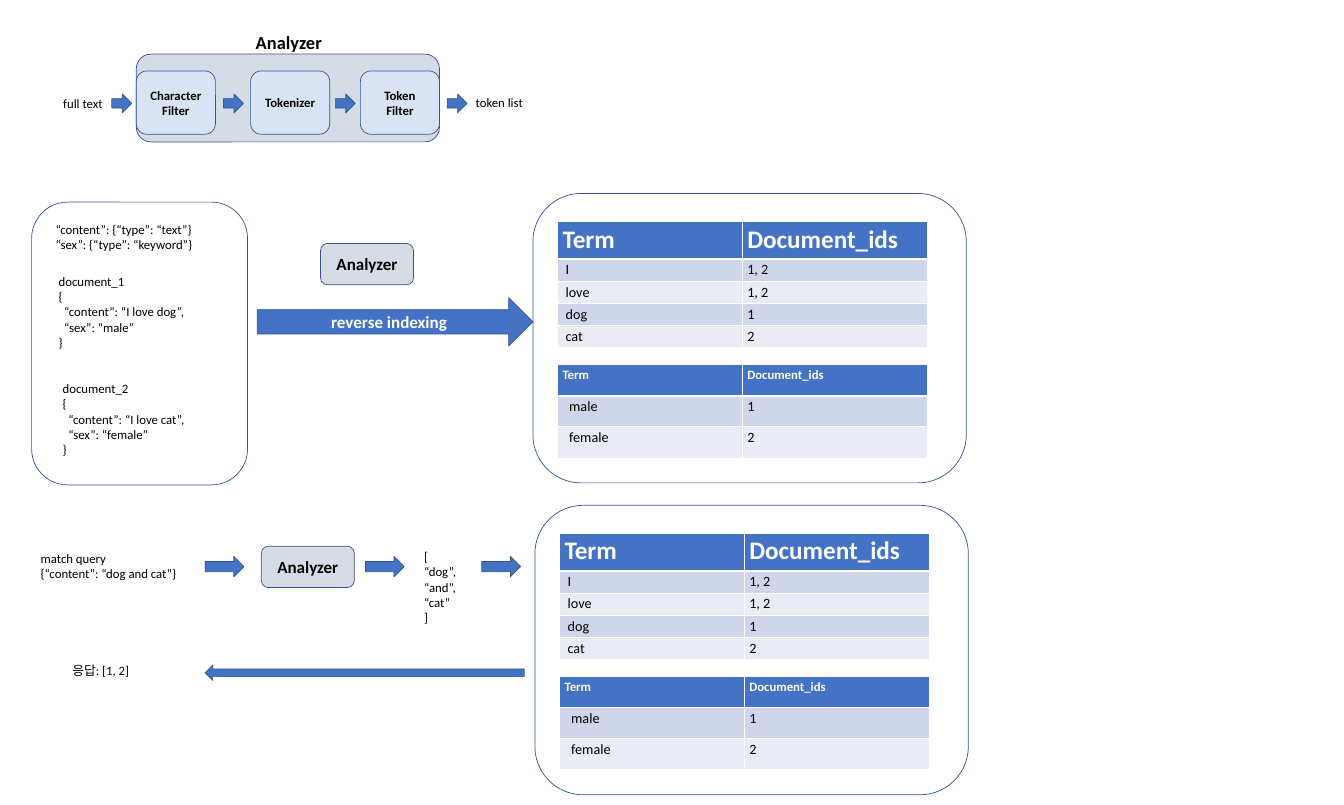
from lxml import etree
from pptx import Presentation
from pptx.dml.color import RGBColor
from pptx.enum.shapes import MSO_SHAPE
from pptx.enum.text import MSO_ANCHOR, PP_ALIGN
from pptx.oxml.ns import qn
from pptx.util import Inches, Pt

ROUND, ARROW = MSO_SHAPE.ROUNDED_RECTANGLE, MSO_SHAPE.RIGHT_ARROW
LEFT, CENTER = PP_ALIGN.LEFT, PP_ALIGN.CENTER
TOP, MIDDLE = MSO_ANCHOR.TOP, MSO_ANCHOR.MIDDLE
UNIT = Inches(0.1)
FONT = "Calibri"
HEX = {"blue": "4472C4", "edge": "325491", "gray": "D6DCE5", "pale": "DAE3F3",
       "odd": "CFD5EA", "even": "E9EBF5", "white": "FFFFFF", "black": "000000"}
TERMS = [("Term", "Document_ids"), ("I", "1, 2"), ("love", "1, 2"),
         ("dog", "1"), ("cat", "2")]
SEXES = [("Term", "Document_ids"), ("male", "1"), ("female", "2")]


def grid(*cells):
    """Turn grid cells of a tenth of an inch into lengths."""
    return [round(cell * UNIT) for cell in cells]


def color(name):
    """Look up a colour by its name."""
    return RGBColor.from_string(HEX[name])


def style(frame, size, tint="black", bold=False, align=LEFT):
    """Format every run in a text frame."""
    for para in frame.paragraphs:
        para.alignment = align
        for run in para.runs:
            run.font.name, run.font.size, run.font.bold = FONT, Pt(size), bold
            run.font.color.rgb = color(tint)


def shape(slide, kind, box, fill=None, text="", size=18, tint="black"):
    """Add an outlined shape with bold centred text."""
    item = slide.shapes.add_shape(kind, *grid(*box))
    item.shadow.inherit = False
    if fill:
        item.fill.solid()
        item.fill.fore_color.rgb = color(fill)
    else:
        item.fill.background()
    item.line.color.rgb = color("edge")
    item.line.width = Pt(1)
    if text:
        item.text_frame.text = text
        item.text_frame.word_wrap = True
        item.text_frame.vertical_anchor = MIDDLE
        style(item.text_frame, size, tint, True, CENTER)
    return item


def arrow(slide, box, text=""):
    """Add a blue block arrow."""
    return shape(slide, ARROW, box, "blue", text, 24, "white")


def note(slide, box, text):
    """Add a plain text box."""
    frame = slide.shapes.add_textbox(*grid(*box)).text_frame
    frame.word_wrap = True
    frame.text = text
    style(frame, 18)
    return frame


def record(slide, box, name, words, sex):
    """Add a document listing with indented fields."""
    frame = note(slide, box, f"{name}\n{{\n“content”: “{words}”,\n“sex”: “{sex}”\n}}")
    for para in frame.paragraphs[2:4]:
        props = para._p.get_or_add_pPr()
        props.set("marL", str(Inches(0.11)))
        props.set("indent", "0")


def rule(cell, top, low):
    """Draw the white borders of a cell."""
    props = cell._tc.get_or_add_tcPr()
    for side, width in (("L", 1), ("R", 1), ("T", top), ("B", low)):
        line = etree.SubElement(props, qn(f"a:ln{side}"), w=str(Pt(width)))
        fill = etree.SubElement(line, qn("a:solidFill"))
        etree.SubElement(fill, qn("a:srgbClr"), val=HEX["white"])


def table(slide, left, top, data, head, row, size, pad):
    """Add a banded table with a header row."""
    high = head + row * (len(data) - 1)
    box = grid(left, top, 72.4, high)
    body = slide.shapes.add_table(len(data), 2, *box).table
    for r, words in enumerate(data):
        body.rows[r].height = grid(row if r else head)[0]
        for c, word in enumerate(words):
            cell = body.cell(r, c)
            rule(cell, 3 if r == 1 else 1, 1 if r else 3)
            cell.fill.solid()
            band = "odd" if r % 2 else "even"
            cell.fill.fore_color.rgb = color(band if r else "blue")
            cell.vertical_anchor = TOP
            if r and not c:
                cell.margin_left = Inches(0.1 + pad)
            cell.text_frame.text = word
            style(cell.text_frame, 20 if r else size, "black" if r else "white", not r)


def index(slide, left, top):
    """Add a panel that holds both index tables."""
    table(slide, left + 4.8, top + 5.5, TERMS, 7.3, 4.35, 35.5, 0.06)
    table(slide, left + 4.8, top + 33.5, SEXES, 6.1, 6.1, 18, 0.13)
    shape(slide, ROUND, (left, top, 84.9, 56.7))


def chain(slide):
    """Draw the analyzer with its filters."""
    title = slide.shapes.title
    title.left, title.top, title.width, title.height = grid(49.1, 5.5, 22.9, 5.4)
    title.text_frame.text = "Analyzer"
    title.text_frame.vertical_anchor = TOP
    style(title.text_frame, 26, bold=True)
    shape(slide, ROUND, (26.7, 10.6, 59.4, 17.2), "gray")
    steps = (26.7, "Character\nFilter"), (49.1, "Tokenizer"), (70.6, "Token\nFilter")
    for left, text in steps:
        shape(slide, ROUND, (left, 13.9, 15.5, 12.4), "pale", text)
    for num in range(1, 5):
        arrow(slide, (21.9 * num, 18.4, 3.9, 3.7))
    note(slide, (11.4, 18.2, 10.8, 4), "full text")
    note(slide, (92.2, 18, 15.5, 4), "token list")


def store(slide):
    """Draw the documents and their reverse index."""
    shape(slide, ROUND, (6.2, 39.6, 42.3, 55.4))
    note(slide, (9.9, 42.9, 39.2, 7.1),
         "“content”: {“type”: “text”}\n“sex”: {“type”: “keyword”}")
    record(slide, (10.5, 53.1, 29.4, 16.2), "document_1", "I love dog", "male")
    record(slide, (11.3, 74.1, 33, 16.2), "document_2", "I love cat", "female")
    shape(slide, ROUND, (62.8, 47.7, 18.2, 8.1), "gray", "Analyzer", 24)
    arrow(slide, (50.4, 58.3, 54, 9.5), "reverse indexing")
    index(slide, 104.4, 37.9)


def query(slide):
    """Draw the match query and its answer."""
    note(slide, (7, 107.4, 33.6, 7.1), "match query\n{“content”: “dog and cat”}")
    shape(slide, ROUND, (51.2, 107, 18.2, 8.1), "gray", "Analyzer", 24)
    note(slide, (82.1, 107, 9.7, 16.2), "[\n“dog”,\n“and”,\n“cat”\n]")
    for left in (40.2, 71.6, 94.4):
        arrow(slide, (left, 109, 7.6, 4))
    index(slide, 104.8, 99)
    arrow(slide, (40.2, 130.3, 62.5, 3)).rotation = 180
    note(slide, (13.2, 129.3, 25.2, 4), "응답: [1, 2]")


def main():
    """Build the slide and save it."""
    deck = Presentation()
    deck.slide_width, deck.slide_height = grid(263.3, 157.7)
    slide = deck.slides.add_slide(deck.slide_layouts[5])
    chain(slide)
    store(slide)
    query(slide)
    deck.save("out.pptx")


main()
